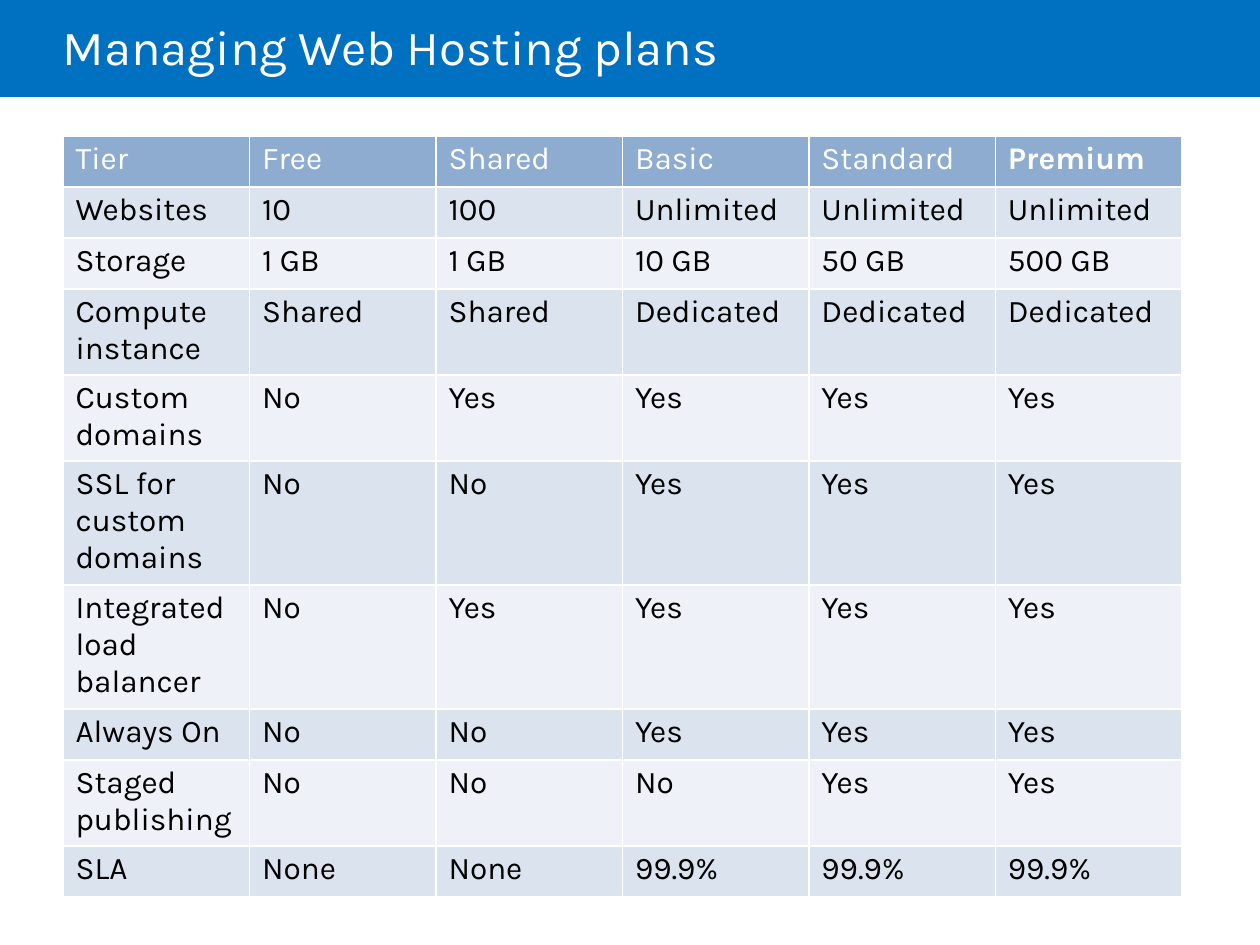
from lxml import etree
from pptx import Presentation
from pptx.dml.color import RGBColor
from pptx.enum.shapes import MSO_SHAPE
from pptx.enum.text import MSO_ANCHOR
from pptx.oxml.ns import qn
from pptx.util import Emu, Pt

RECT = MSO_SHAPE.RECTANGLE
MIDDLE = MSO_ANCHOR.MIDDLE
SCALE = 914400 // 126
FONT = "Karla"
BLANK = 6

WHITE = RGBColor(0xFF, 0xFF, 0xFF)
BLACK = RGBColor(0x00, 0x00, 0x00)
BLUE = RGBColor(0x00, 0x70, 0xC0)
HEADER = RGBColor(0x8D, 0xAC, 0xD0)
BANDS = (RGBColor(0xEE, 0xF1, 0xF7), RGBColor(0xDB, 0xE3, 0xEE))

ONE_LINE, TWO_LINES, THREE_LINES = 51, 86, 124
PLANS = [
    (ONE_LINE, ["Tier", "Free", "Shared", "Basic", "Standard", "Premium"]),
    (ONE_LINE, ["Websites", "10", "100", "Unlimited", "Unlimited", "Unlimited"]),
    (ONE_LINE, ["Storage", "1 GB", "1 GB", "10 GB", "50 GB", "500 GB"]),
    (TWO_LINES, ["Compute instance", "Shared", "Shared", "Dedicated", "Dedicated", "Dedicated"]),
    (TWO_LINES, ["Custom domains", "No", "Yes", "Yes", "Yes", "Yes"]),
    (THREE_LINES, ["SSL for custom domains", "No", "No", "Yes", "Yes", "Yes"]),
    (THREE_LINES, ["Integrated load balancer", "No", "Yes", "Yes", "Yes", "Yes"]),
    (ONE_LINE, ["Always On", "No", "No", "Yes", "Yes", "Yes"]),
    (TWO_LINES, ["Staged publishing", "No", "No", "No", "Yes", "Yes"]),
    (ONE_LINE, ["SLA", "None", "None", "99.9%", "99.9%", "99.9%"]),
]


def px(n):
    return Emu(n * SCALE)


def add_text(tf, text, size=18, color=BLACK, bold=False):
    p = tf.paragraphs[0]
    r = p.add_run()
    r.text = text
    r.font.name = FONT
    r.font.size = Pt(size)
    r.font.bold = bold
    r.font.color.rgb = color
    return p


def add_bar(s, x, y, w, h, color):
    bar = s.shapes.add_shape(RECT, px(x), px(y), px(w), px(h))
    bar.shadow.inherit = False
    bar.fill.solid()
    bar.fill.fore_color.rgb = color
    bar.line.fill.background()


def add_title(s, text, x, y, w, h):
    tf = s.shapes.add_textbox(px(x), px(y), px(w), px(h)).text_frame
    tf.word_wrap = True
    tf.vertical_anchor = MIDDLE
    tf.margin_left = 0
    add_text(tf, text, size=28, color=WHITE).line_spacing = 0.85


def set_borders(cell, color, width=1):
    tc_pr = cell._tc.get_or_add_tcPr()
    for side in "LRTB":
        ln = etree.SubElement(tc_pr, qn(f"a:ln{side}"), w=str(Pt(width)))
        fill = etree.SubElement(ln, qn("a:solidFill"))
        etree.SubElement(fill, qn("a:srgbClr"), val=str(color))


def add_plan_table(s, data, x, y, w):
    rows, cols = len(data), len(data[0][1])
    total = sum(height for height, _ in data)
    table = s.shapes.add_table(rows, cols, px(x), px(y), px(w), px(total)).table
    for i, (height, texts) in enumerate(data):
        header = i == 0
        table.rows[i].height = px(height)
        for j, text in enumerate(texts):
            cell = table.cell(i, j)
            cell.margin_top = cell.margin_bottom = px(5)
            set_borders(cell, WHITE)
            cell.fill.solid()
            cell.fill.fore_color.rgb = HEADER if header else BANDS[i % 2]
            add_text(cell.text_frame, text, color=WHITE if header else BLACK,
                     bold=header and j == cols - 1)


def main():
    prs = Presentation()
    prs.slide_width, prs.slide_height = px(1260), px(945)
    s = prs.slides.add_slide(prs.slide_layouts[BLANK])
    add_bar(s, 0, 0, 1260, 97, BLUE)
    add_title(s, "Managing Web Hosting plans", 63, 0, 1071, 102)
    add_plan_table(s, PLANS, 63, 136, 1119)
    prs.save("out.pptx")


if __name__ == "__main__":
    main()
